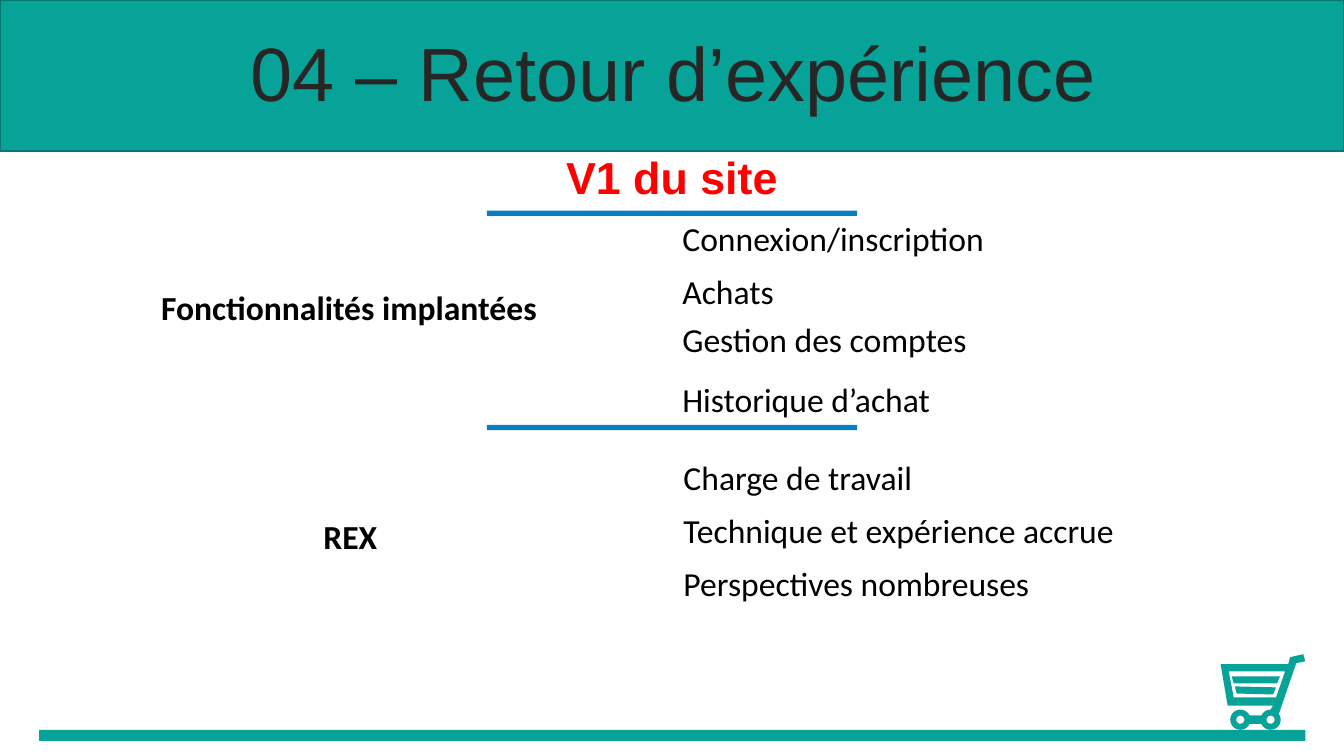
import math
from pptx import Presentation
from pptx.dml.color import RGBColor
from pptx.enum.shapes import MSO_SHAPE
from pptx.enum.text import MSO_ANCHOR, MSO_AUTO_SIZE, PP_ALIGN
from pptx.oxml.ns import qn
from pptx.util import Pt
from lxml import etree

RECT = MSO_SHAPE.RECTANGLE
TOP, MIDDLE = MSO_ANCHOR.TOP, MSO_ANCHOR.MIDDLE
FIXED = MSO_AUTO_SIZE.NONE
LEFT, CENTER = PP_ALIGN.LEFT, PP_ALIGN.CENTER

TEAL, EDGE, BLUE = "07A398", "057970", "0680C3"
RED, DARK, BLACK = "FF0000", "262626", "000000"


def color(code):
    return RGBColor.from_string(code)


def arc(x, y, size, start, end, steps=24):
    turns = [math.radians(start + (end - start) * i / steps) for i in range(steps + 1)]
    return [(x + size * math.cos(t), y + size * math.sin(t)) for t in turns]


class Page:
    head, text = "Arial", "Calibri"
    size = 24

    def __init__(self, slide):
        self.slide = slide
        self.shapes = slide.shapes

    def paint(self, shape, fill, line=None):
        shape.shadow.inherit = False
        shape.fill.solid()
        shape.fill.fore_color.rgb = color(fill)
        if line:
            shape.line.color.rgb = color(line)
            shape.line.width = Pt(1)
        else:
            shape.line.fill.background()

    def bar(self, x, y, w, h, fill, line=None):
        self.paint(self.shapes.add_shape(RECT, Pt(x), Pt(y), Pt(w), Pt(h)), fill, line)

    def icon(self, rings, fill):
        build = None
        for ring in rings:
            spots = [(Pt(x), Pt(y)) for x, y in ring]
            if build is None:
                build = self.shapes.build_freeform(*spots[0], scale=1.0)
            else:
                build.move_to(*spots[0])
            build.add_line_segments(spots[1:], close=True)
        self.paint(build.convert_to_shape(), fill)

    def style(self, para, font, size, fill, bold=False, align=LEFT):
        para.alignment = align
        for run in para.runs:
            run.font.name = font
            run.font.size = Pt(size)
            run.font.bold = bold
            run.font.color.rgb = color(fill)

    def place(self, holder, x, y, w, h, anchor):
        holder.left, holder.top, holder.width, holder.height = Pt(x), Pt(y), Pt(w), Pt(h)
        node = holder.element
        node.getparent().append(node)
        frame = holder.text_frame
        frame.word_wrap = True
        frame.auto_size = FIXED
        frame.vertical_anchor = anchor
        return frame

    def title(self, text, x, y, w, h):
        frame = self.place(self.shapes.title, x, y, w, h, MIDDLE)
        frame.text = text
        para = frame.paragraphs[0]
        para.line_spacing = 0.9
        self.style(para, self.head, 54, DARK, align=CENTER)

    def list(self, index, x, y, w, h, items, gaps):
        frame = self.place(self.slide.placeholders[index], x, y, w, h, TOP)
        frame.text = "\n".join(items)
        for para, gap in zip(frame.paragraphs, [0, *gaps]):
            props = para._p.get_or_add_pPr()
            props.set("marL", "0")
            props.set("indent", "0")
            etree.SubElement(props, qn("a:buNone"))
            para.space_before = Pt(gap)
            self.style(para, self.text, self.size, BLACK)

    def label(self, text, x, y, w, h, font, size, fill, align=LEFT):
        frame = self.shapes.add_textbox(Pt(x), Pt(y), Pt(w), Pt(h)).text_frame
        frame.word_wrap = True
        frame.text = text
        self.style(frame.paragraphs[0], font, size, fill, True, align)


def cart():
    left, right, axle = 886, 907.6, 514.1
    wheel, hub = 7.2, 2.9
    body = [(930.96, 467.28), (921.6, 469.44), (920.16, 474.48), (871.92, 474.48),
            (876.96, 504), (909.36, 504)]
    body += arc(right, axle, wheel, -90, -155)
    body += arc(left, axle, wheel, -25, -335)
    body += arc(right, axle, wheel, 155, -35)
    body += [(925.92, 473.76), (932.4, 472.32)]
    basket = [(918, 479.5), (911.5, 498.2), (881.3, 498.2), (877.7, 479.5)]
    upper = [(879.8, 483.1), (881.3, 488.2), (912.2, 488.2), (914.4, 483.1)]
    lower = [(882, 490.3), (883.4, 495.4), (909.4, 496.1), (911.5, 491)]
    hubs = [arc(x, axle, hub, 0, 360) for x in (left, right)]
    return [body, basket, upper, lower, *hubs]


def main():
    deck = Presentation()
    deck.slide_width, deck.slide_height = Pt(960), Pt(540)
    page = Page(deck.slides.add_slide(deck.slide_layouts[3]))

    page.icon(cart(), TEAL)
    page.bar(28, 521.3, 904.4, 7.9, TEAL)
    page.bar(0, 0, 960, 108, TEAL, EDGE)
    page.title("04 – Retour d’expérience", 25.2, 26.6, 911.5, 56.9)

    page.label("V1 du site", 393, 103.7, 174, 46, page.head, 32, RED, CENTER)
    for y in (150.5, 303.5):
        page.bar(347.8, y, 264.4, 3.8, BLUE)

    page.label("Fonctionnalités implantées", 108, 201.6, 295, 36, page.text, page.size, BLACK)
    page.list(1, 480.2, 151.9, 340, 156,
              ["Connexion/inscription", "Achats", "Gestion des comptes", "Historique d’achat"],
              [9, 5.3, 14.6])
    page.label("REX", 223.9, 365, 60, 36, page.text, page.size, BLACK)
    page.list(2, 481, 322.6, 340, 116,
              ["Charge de travail", "Technique et expérience accrue", "Perspectives nombreuses"],
              [9.3, 9.3])

    deck.save("out.pptx")


if __name__ == "__main__":
    main()
